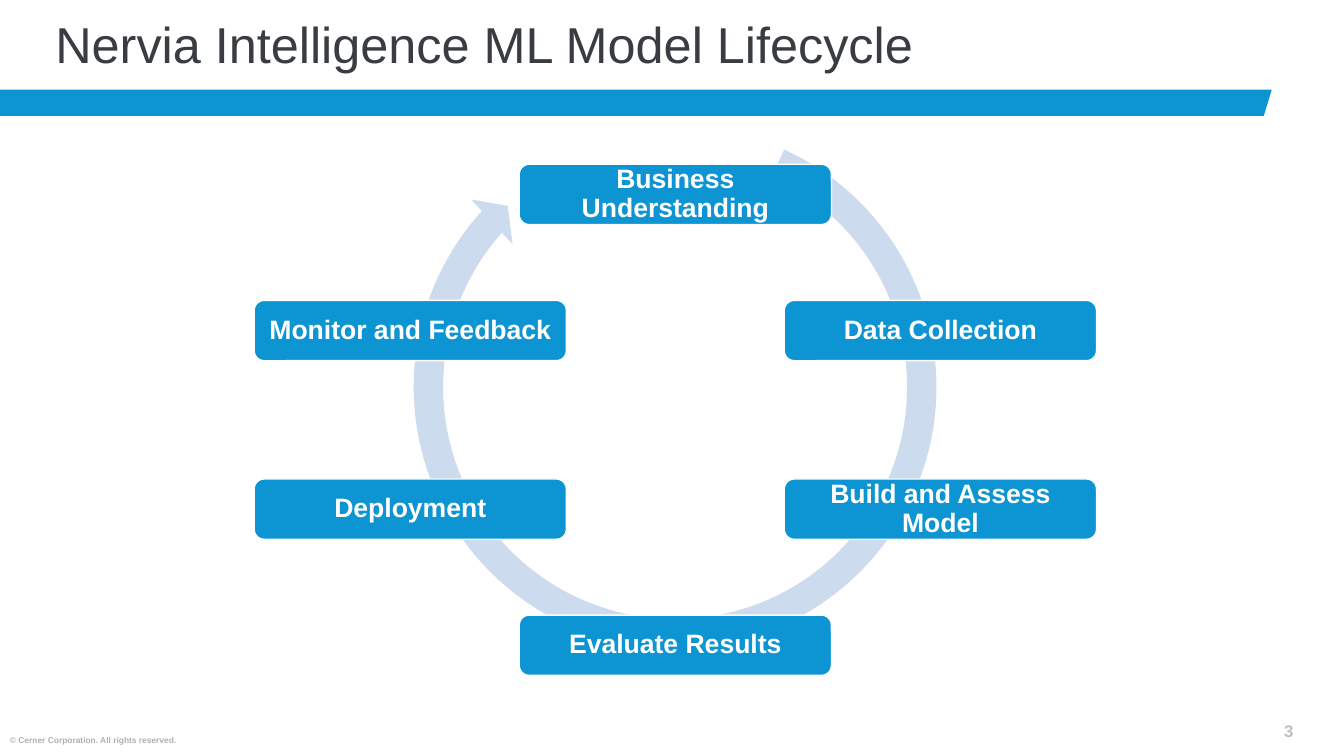
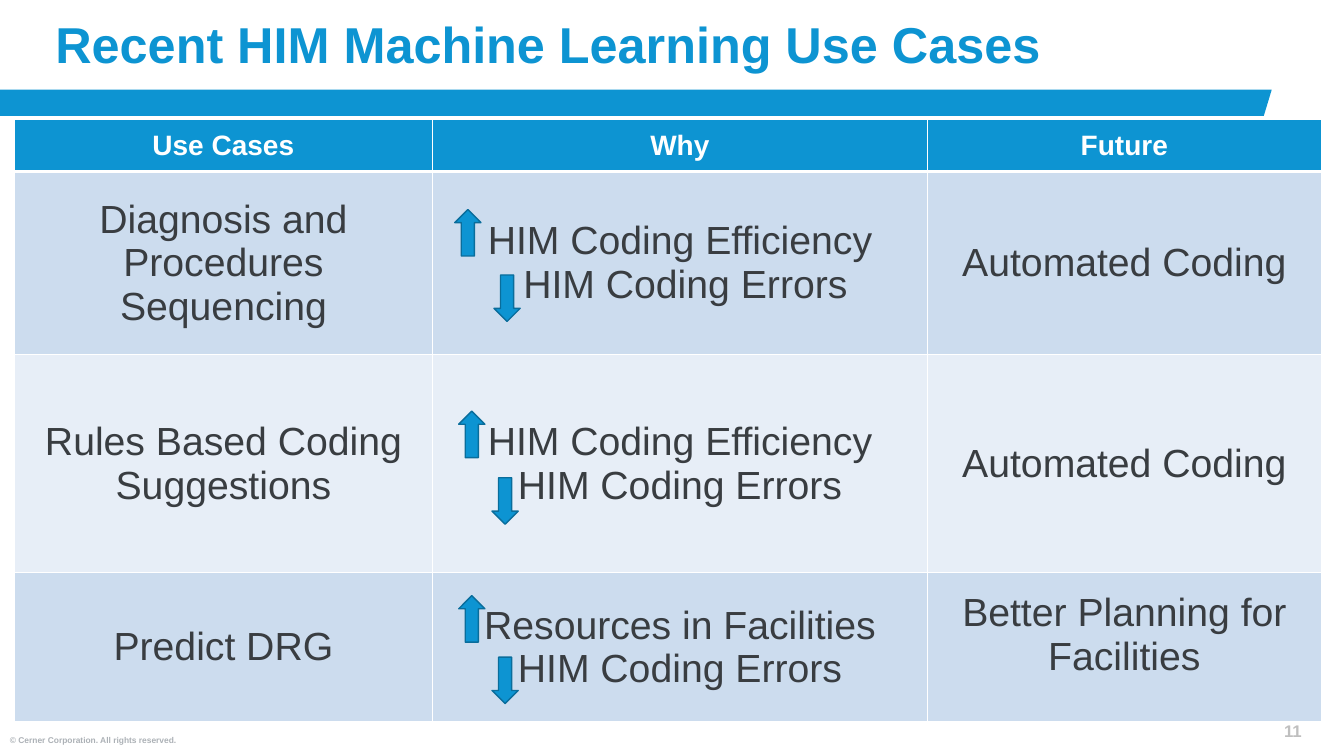
import dataclasses
import typing

import lxml.etree
import pptx
import pptx.dml.color
import pptx.enum.shapes
import pptx.enum.text
import pptx.oxml.ns
import pptx.util

Cm = pptx.util.Cm
Pt = pptx.util.Pt
Color = pptx.dml.color.RGBColor
Form = pptx.enum.shapes.MSO_SHAPE
Align = pptx.enum.text.PP_ALIGN
Anchor = pptx.enum.text.MSO_ANCHOR
Fit = pptx.enum.text.MSO_AUTO_SIZE


@dataclasses.dataclass(frozen=True)
class Theme:
    font: str = "Arial"
    blue: str = "0D94D2"
    edge: str = "0A6D9B"
    ink: str = "393D41"
    white: str = "FFFFFF"
    mist: str = "CCDCEE"
    pale: str = "E7EEF7"
    legal: str = "ACB1B6"
    page: str = "BFBFBF"
    title: int = 36
    cell: int = 28
    head: int = 20
    step: int = 19
    number: int = 12
    small: int = 6


@dataclasses.dataclass(frozen=True)
class Style:
    size: int
    color: str
    bold: bool = False
    align: typing.Any = Align.LEFT
    space: float = 1.0


class Box(typing.NamedTuple):
    left: float
    top: float
    width: float
    height: float


class Step(typing.NamedTuple):
    label: str
    across: int
    down: float


class Trend(typing.NamedTuple):
    left: float
    top: float
    turn: int


THEME = Theme()

TITLE = Box(1.14, 0, 29.21, 2.39)
LEGAL = Box(0, 18.39, 33.63, 0.51)
PAGE = Box(32.11, 18.03, 1.17, 0.76)
BAND = [(0, 2.92), (31.85, 2.92), (32.05, 2.26), (0, 2.26)]

RING = Box(10.03, 2.77, 13.97, 13.97)
BENDS = (5.3 / 100, 3.13, 133.22, 176.8, 5.5 / 100)
CENTER = (17.02, 10.58)
REACH = 6.68
STEP_SIZE = (7.87, 1.52)
STEPS = [
    Step("Business Understanding", 0, -5.68),
    Step("Data Collection", 1, -2.25),
    Step("Build and Assess Model", 1, 2.25),
    Step("Evaluate Results", 0, 5.68),
    Step("Deployment", -1, 2.25),
    Step("Monitor and Feedback", -1, -2.25),
]

GRID = Box(0.36, 3.02, 32.94, 15.17)
COLS = [10.54, 12.47, 9.93]
ROWS = [1.3, 4.62, 5.49, 3.76]
CELLS = [
    ["Use Cases", "Why", "Future"],
    ["Diagnosis and Procedures Sequencing",
     "HIM Coding Efficiency\n HIM Coding Errors", "Automated Coding"],
    ["Rules Based Coding Suggestions",
     "HIM Coding Efficiency\nHIM Coding Errors", "Automated Coding"],
    ["Predict DRG",
     "Resources in Facilities\nHIM Coding Errors",
     "Better Planning for Facilities"],
]
TREND_SIZE = (0.66, 1.17)
TRENDS = [
    Trend(11.46, 5.28, 180), Trend(12.45, 6.93, 0),
    Trend(11.56, 10.36, 180), Trend(12.4, 12.04, 0),
    Trend(11.56, 15.01, 180), Trend(12.4, 16.56, 0),
]


def paint(shape: typing.Any, fill: str, line: str = "") -> None:
    shape.shadow.inherit = False
    shape.fill.solid()
    shape.fill.fore_color.rgb = Color.from_string(fill)
    if line:
        shape.line.color.rgb = Color.from_string(line)
        shape.line.width = Pt(1)
    else:
        shape.line.fill.background()


def write(frame: typing.Any, text: str, style: Style) -> None:
    for index, line in enumerate(text.split("\n")):
        para = frame.paragraphs[0] if index == 0 else frame.add_paragraph()
        para.alignment = style.align
        para.line_spacing = style.space
        run = para.add_run()
        run.text = line
        run.font.name = THEME.font
        run.font.size = Pt(style.size)
        run.font.bold = style.bold
        run.font.color.rgb = Color.from_string(style.color)


def add_form(slide: typing.Any, form: typing.Any, box: Box,
             fill: str, line: str = "") -> typing.Any:
    shape = slide.shapes.add_shape(form, *map(Cm, box))
    paint(shape, fill, line)
    return shape


def add_note(slide: typing.Any, box: Box, text: str, style: Style) -> None:
    frame = slide.shapes.add_textbox(*map(Cm, box)).text_frame
    frame.word_wrap = True
    write(frame, text, style)


def add_page(deck: typing.Any, title: str, style: Style,
             number: int) -> typing.Any:
    slide = deck.slides.add_slide(deck.slide_layouts[5])
    head = slide.shapes.title
    head.left, head.top, head.width, head.height = map(Cm, TITLE)
    frame = head.text_frame
    frame.auto_size = Fit.NONE
    frame.vertical_anchor = Anchor.MIDDLE
    write(frame, title, style)

    points = [(Cm(x), Cm(y)) for x, y in BAND]
    path = slide.shapes.build_freeform(*points[0])
    path.add_line_segments(points[1:], close=True)
    paint(path.convert_to_shape(), THEME.blue)

    add_note(slide, LEGAL, "© Cerner Corporation. All rights reserved.",
             Style(THEME.small, THEME.legal, True))
    add_note(slide, PAGE, str(number), Style(THEME.number, THEME.page, True))
    return slide


def add_step(slide: typing.Any, step: Step) -> None:
    width, height = STEP_SIZE
    box = Box(CENTER[0] + step.across * REACH - width / 2,
              CENTER[1] + step.down - height / 2, width, height)
    shape = add_form(slide, Form.ROUNDED_RECTANGLE, box,
                     THEME.blue, THEME.white)
    frame = shape.text_frame
    frame.word_wrap = True
    frame.vertical_anchor = Anchor.MIDDLE
    frame.margin_left = frame.margin_right = Cm(0.2)
    frame.margin_top = frame.margin_bottom = Cm(0.2)
    write(frame, step.label,
          Style(THEME.step, THEME.white, True, Align.CENTER, 0.9))


def add_cycle(slide: typing.Any) -> None:
    ring = add_form(slide, Form.CIRCULAR_ARROW, RING, THEME.mist)
    for index, bend in enumerate(BENDS):
        ring.adjustments[index] = bend
    for step in STEPS:
        add_step(slide, step)


def add_edges(cell: typing.Any, base: int) -> None:
    qn = pptx.oxml.ns.qn
    props = cell._tc.get_or_add_tcPr()
    for side, width in (("L", 1), ("R", 1), ("T", 1), ("B", base)):
        line = lxml.etree.SubElement(props, qn(f"a:ln{side}"), w=str(Pt(width)))
        fill = lxml.etree.SubElement(line, qn("a:solidFill"))
        lxml.etree.SubElement(fill, qn("a:srgbClr"), val=THEME.white)


def add_grid(slide: typing.Any) -> None:
    table = slide.shapes.add_table(len(ROWS), len(COLS), *map(Cm, GRID)).table
    for col, width in zip(table.columns, COLS):
        col.width = Cm(width)
    for row, height in zip(table.rows, ROWS):
        row.height = Cm(height)
    head = Style(THEME.head, THEME.white, True, Align.CENTER)
    body = Style(THEME.cell, THEME.ink, False, Align.CENTER)
    for y, texts in enumerate(CELLS):
        shade = THEME.blue if y == 0 else (THEME.pale, THEME.mist)[y % 2]
        for x, text in enumerate(texts):
            cell = table.cell(y, x)
            add_edges(cell, 3 if y == 0 else 1)
            cell.fill.solid()
            cell.fill.fore_color.rgb = Color.from_string(shade)
            cell.vertical_anchor = Anchor.MIDDLE
            write(cell.text_frame, text, body if y else head)
    table.cell(3, 2).margin_bottom = Cm(0.75)


def main() -> None:
    deck = pptx.Presentation()
    deck.slide_width, deck.slide_height = Cm(33.87), Cm(19.05)

    cycle = add_page(deck, "Nervia Intelligence ML Model Lifecycle",
                     Style(THEME.title, THEME.ink, space=0.9), 3)
    add_cycle(cycle)

    cases = add_page(deck, "Recent HIM Machine Learning Use Cases",
                     Style(THEME.title, THEME.blue, True, space=0.9), 11)
    add_grid(cases)
    for trend in TRENDS:
        arrow = add_form(cases, Form.DOWN_ARROW,
                         Box(trend.left, trend.top, *TREND_SIZE),
                         THEME.blue, THEME.edge)
        arrow.rotation = trend.turn

    deck.save("out.pptx")


if __name__ == "__main__":
    main()
